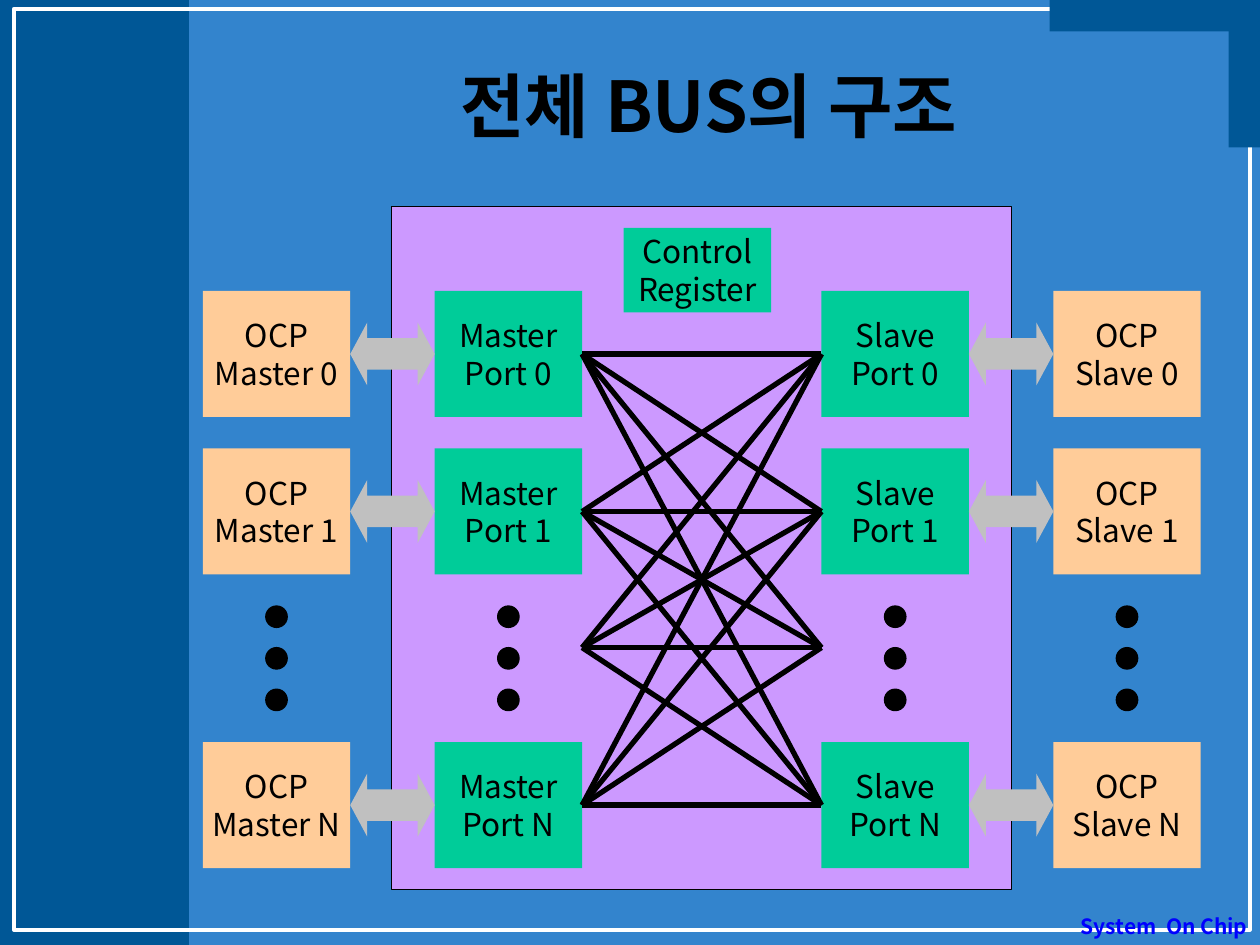
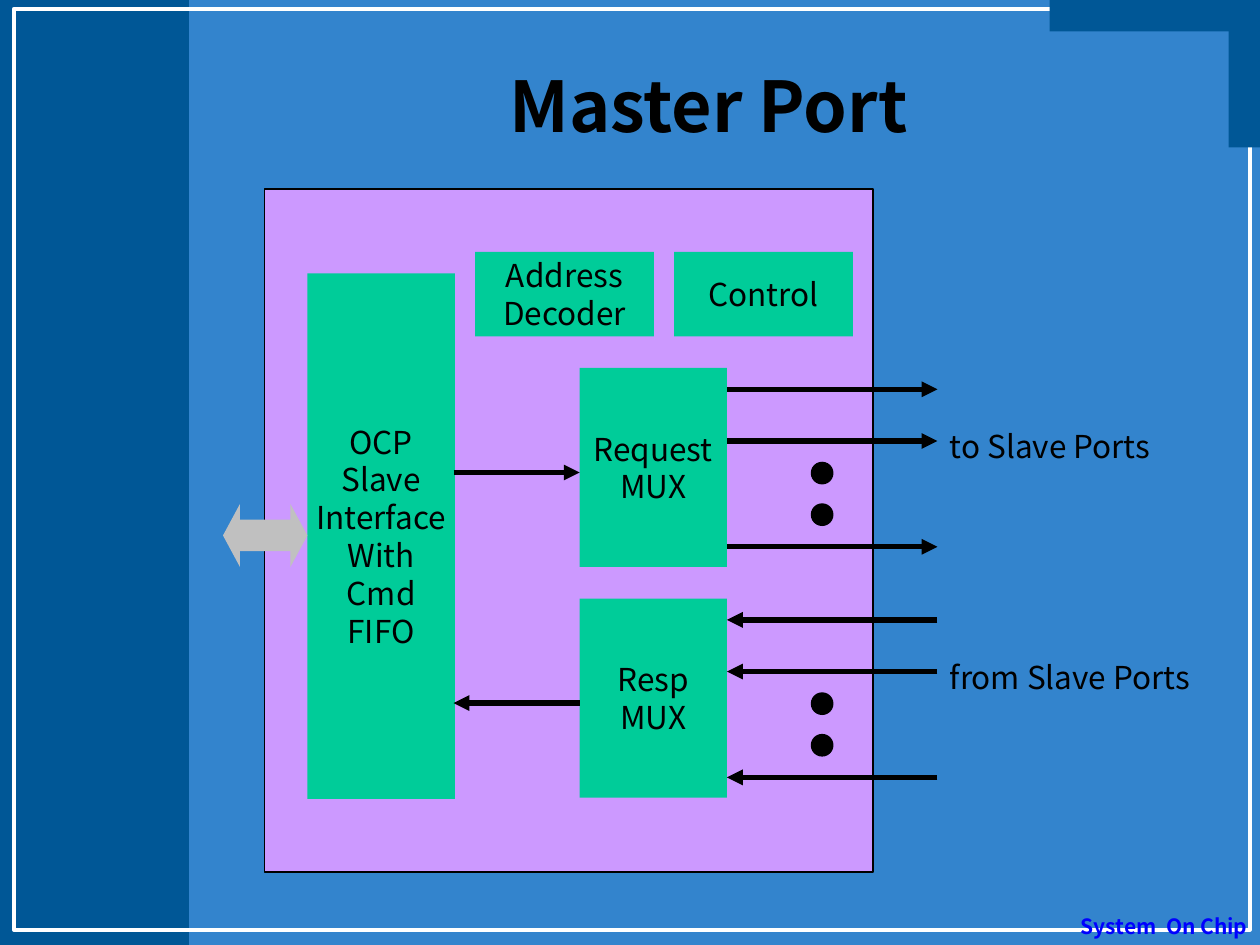
from lxml import etree
from pptx import Presentation
from pptx.dml.color import RGBColor
from pptx.enum.shapes import MSO_CONNECTOR, MSO_SHAPE
from pptx.enum.text import MSO_ANCHOR, PP_ALIGN
from pptx.oxml.ns import qn
from pptx.util import Inches, Pt

RECT, OVAL = MSO_SHAPE.RECTANGLE, MSO_SHAPE.OVAL
DOUBLE_ARROW = MSO_SHAPE.LEFT_RIGHT_ARROW
STRAIGHT = MSO_CONNECTOR.STRAIGHT
LEFT, CENTER, RIGHT = PP_ALIGN.LEFT, PP_ALIGN.CENTER, PP_ALIGN.RIGHT
TOP, MIDDLE = MSO_ANCHOR.TOP, MSO_ANCHOR.MIDDLE

BACKGROUND = RGBColor(0x33, 0x84, 0xCD)
BAND = RGBColor(0x00, 0x57, 0x96)
WHITE = RGBColor(0xFF, 0xFF, 0xFF)
BLACK = RGBColor(0x00, 0x00, 0x00)
FOOTER_BLUE = RGBColor(0x00, 0x00, 0xFF)
PANEL_PURPLE = RGBColor(0xCC, 0x99, 0xFF)
INNER_GREEN = RGBColor(0x00, 0xCC, 0x99)
OUTER_ORANGE = RGBColor(0xFF, 0xCC, 0x99)
ARROW_GRAY = RGBColor(0xC0, 0xC0, 0xC0)

FONT = "Noto Sans CJK KR"
BLOCK_W, BLOCK_H = 1.17, 1
ARROW_W, ARROW_H = 0.67, 0.5
DOT, DOT_STEP = 0.17, 0.33


def add_shape(s, kind, x, y, w, h, fill=None, line=None, line_width=0.75):
    sp = s.shapes.add_shape(kind, Inches(x), Inches(y), Inches(w), Inches(h))
    sp.shadow.inherit = False
    if fill is None:
        sp.fill.background()
    else:
        sp.fill.solid()
        sp.fill.fore_color.rgb = fill
    if line is None:
        sp.line.fill.background()
    else:
        sp.line.color.rgb = line
        sp.line.width = Pt(line_width)
    return sp


def write_text(sp, text, size=18, color=BLACK, bold=False, align=CENTER,
               anchor=MIDDLE, wrap=False):
    tf = sp.text_frame
    tf.text = text
    tf.word_wrap = wrap
    tf.vertical_anchor = anchor
    for p in tf.paragraphs:
        p.alignment = align
        for r in p.runs:
            r.font.size = Pt(size)
            r.font.bold = bold
            r.font.color.rgb = color
            r.font.name = FONT
            ea = etree.SubElement(r.font._element, qn("a:ea"))
            ea.set("typeface", FONT)


def add_label(s, text, x, y, w, h, **style):
    sp = s.shapes.add_textbox(Inches(x), Inches(y), Inches(w), Inches(h))
    write_text(sp, text, **style)


def add_block(s, text, x, y, w=BLOCK_W, h=BLOCK_H, fill=INNER_GREEN):
    write_text(add_shape(s, RECT, x, y, w, h, fill), text)


def add_line(s, x1, y1, x2, y2, arrow=False):
    cn = s.shapes.add_connector(STRAIGHT, Inches(x1), Inches(y1), Inches(x2), Inches(y2))
    cn.line.color.rgb = BLACK
    cn.line.width = Pt(3)
    if arrow:
        etree.SubElement(cn.line._get_or_add_ln(), qn("a:tailEnd")).set("type", "triangle")
    etree.SubElement(cn._element.spPr, qn("a:effectLst"))


def add_double_arrow(s, x, center_y):
    sp = add_shape(s, DOUBLE_ARROW, x, center_y - ARROW_H / 2, ARROW_W, ARROW_H, ARROW_GRAY)
    sp.adjustments[0] = 0.5
    sp.adjustments[1] = 0.27


def add_dots(s, x, y, count):
    for i in range(count):
        add_shape(s, OVAL, x, y + i * DOT_STEP, DOT, DOT, BLACK, BLACK)


def add_panel(s, x, y, w, h):
    add_shape(s, RECT, x, y, w, h, PANEL_PURPLE, BLACK)


def new_slide(prs, title):
    """Add a slide with the shared bands, frame, footer and title."""
    s = prs.slides.add_slide(prs.slide_layouts[6])
    s.background.fill.solid()
    s.background.fill.fore_color.rgb = BACKGROUND
    add_shape(s, RECT, 0, 0, 1.5, 7.5, BAND)
    add_shape(s, RECT, 0.11, 0.07, 9.81, 7.31, line=WHITE, line_width=2.25)
    add_shape(s, RECT, 8.33, 0, 1.67, 0.25, BAND)
    add_shape(s, RECT, 9.75, 0, 0.25, 1.17, BAND)
    add_label(s, "System  On Chip", 8.46, 7.2, 1.54, 0.5, size=12, color=FOOTER_BLUE,
              bold=True, align=RIGHT, anchor=TOP, wrap=True)
    add_label(s, title, 1.5, 0.33, 8.25, 1, size=40, bold=True, wrap=True)
    return s


def add_column(s, x, y, rows, text, fill):
    """Stack blocks 0, 1, ... N with dots standing for the ones between."""
    for index, row in rows.items():
        add_block(s, f"{text} {index}", x, y + row, fill=fill)
    add_dots(s, x + (BLOCK_W - DOT) / 2, y + 3.17, 3)


def bus_diagram(s, x, y, w, h):
    rows = {"0": 0.67, "1": 1.92, "N": 4.25}
    pad = 0.34
    master_x = x + pad
    slave_x = x + w - pad - BLOCK_W
    step = BLOCK_W + ARROW_W

    add_panel(s, x, y, w, h)
    columns = [
        (master_x - step, "OCP\nMaster", OUTER_ORANGE),
        (master_x, "Master\nPort", INNER_GREEN),
        (slave_x, "Slave\nPort", INNER_GREEN),
        (slave_x + step, "OCP\nSlave", OUTER_ORANGE),
    ]
    for column_x, text, fill in columns:
        add_column(s, column_x, y, rows, text, fill)

    centers = [y + row + BLOCK_H / 2 for row in rows.values()]
    for center in centers:
        add_double_arrow(s, master_x - ARROW_W, center)
        add_double_arrow(s, slave_x + BLOCK_W, center)

    link_ends = centers + [y + 3.5]
    for start in link_ends:
        for end in link_ends:
            add_line(s, master_x + BLOCK_W, start, slave_x, end)
    add_block(s, "Control\nRegister", x + 1.84, y + 0.17, h=0.67)


def add_mux(s, text, label, label_w, x, y, outgoing):
    """Draw a multiplexer with its link to the interface and its slave lines."""
    right, line_end = x + BLOCK_W, x + BLOCK_W + 1.67
    add_block(s, text, x, y, h=1.58)
    links = [(x - 1, x, 0.83)] + [(right, line_end, dy) for dy in (0.17, 0.58, 1.42)]
    for x1, x2, dy in links:
        if not outgoing:
            x1, x2 = x2, x1
        add_line(s, x1, y + dy, x2, y + dy, arrow=True)
    add_dots(s, right + 0.67, y + 0.75, 2)
    add_label(s, label, line_end, y + 0.42, label_w, 0.4, align=LEFT, anchor=TOP)


def master_port_diagram(s, x, y, w, h):
    add_panel(s, x, y, w, h)
    add_block(s, "OCP\nSlave\nInterface\nWith\nCmd\nFIFO", x + 0.34, y + 0.67, h=4.17)
    for i, text in enumerate(["Address\nDecoder", "Control"]):
        add_block(s, text, x + 1.67 + i * 1.58, y + 0.5, 1.42, 0.67)
    mux_x = x + 2.5
    add_mux(s, "Request\nMUX", "to Slave Ports", 1.79, mux_x, y + 1.42, outgoing=True)
    add_mux(s, "Resp\nMUX", "from Slave Ports", 2.13, mux_x, y + 3.25, outgoing=False)
    add_double_arrow(s, x + 0.34 - ARROW_W, y + 2.75)


def main():
    prs = Presentation()
    prs.slide_width, prs.slide_height = Inches(10), Inches(7.5)
    bus_diagram(new_slide(prs, "전체 BUS의 구조"), 3.11, 1.64, 4.92, 5.42)
    master_port_diagram(new_slide(prs, "Master Port"), 2.1, 1.5, 4.83, 5.42)
    prs.save("out.pptx")


if __name__ == "__main__":
    main()
